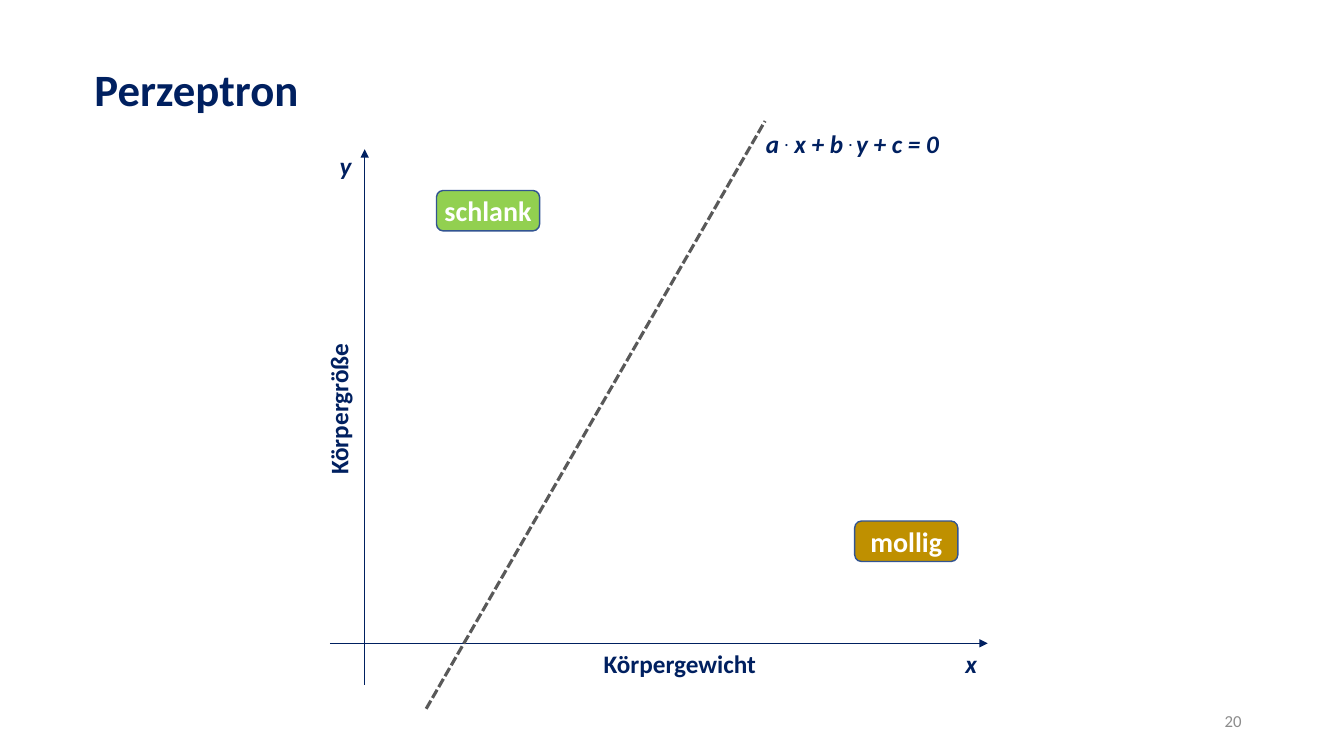
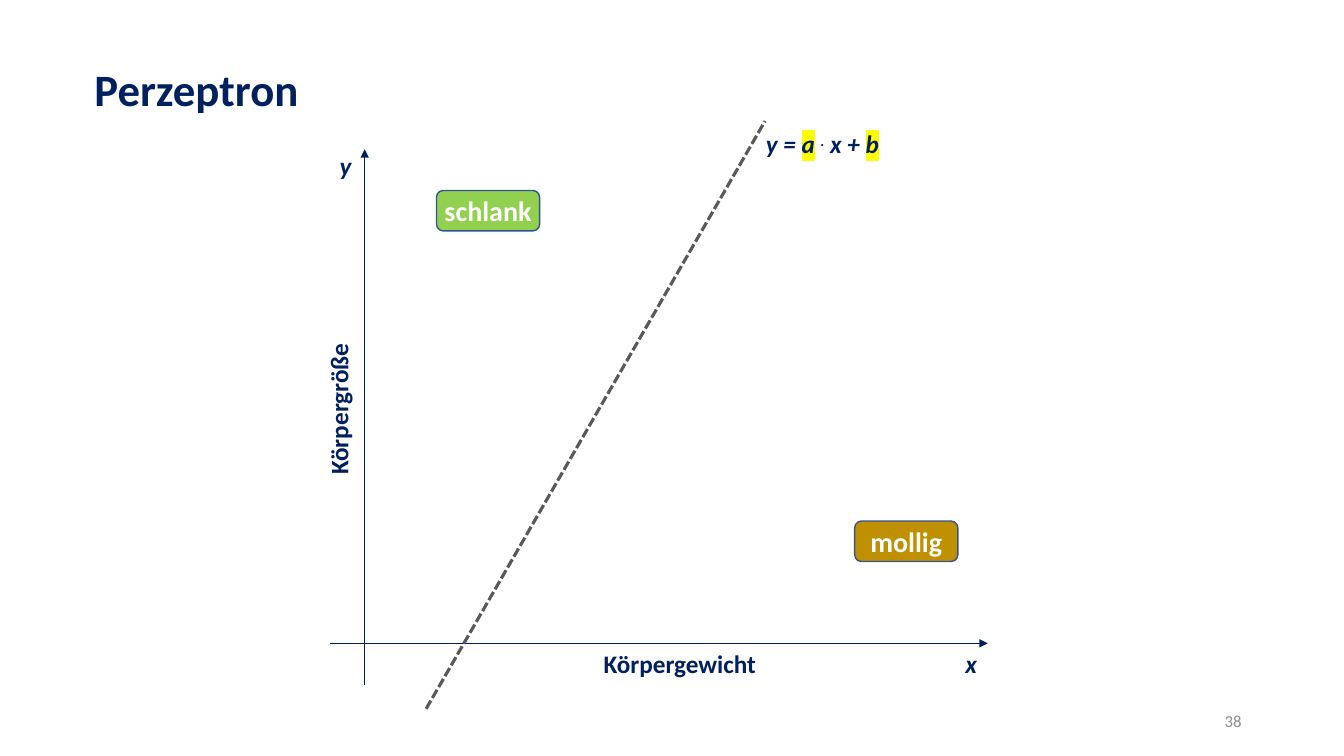
from lxml.etree import SubElement
from pptx import Presentation
from pptx.dml.color import RGBColor
from pptx.enum.dml import MSO_LINE as Dash
from pptx.enum.shapes import MSO_CONNECTOR as Link, MSO_SHAPE as Shape
from pptx.enum.text import MSO_ANCHOR as Anchor, PP_ALIGN as Align
from pptx.oxml import parse_xml
from pptx.oxml.ns import nsdecls, qn
from pptx.util import Cm, Pt

NAVY = RGBColor(0x00, 0x20, 0x60)
GRAY = RGBColor(0x8C, 0x8C, 0x8C)
DARK = RGBColor(0x59, 0x59, 0x59)
GREEN = RGBColor(0x92, 0xD0, 0x50)
OCHRE = RGBColor(0xBF, 0x90, 0x00)
EDGE = RGBColor(0x32, 0x54, 0x91)
WHITE = RGBColor(0xFF, 0xFF, 0xFF)
MARK = RGBColor(0xFF, 0xFF, 0x00)
FONT = "Calibri"
ROW = 1.02  # height of a label or badge in cm
PLOT = (8.31, 3.05)  # left and top of the plot in cm


def style(run, size, color=NAVY, bold=True, italic=False):
    font = run.font
    font.name, font.size = FONT, Pt(size)
    font.bold, font.italic = bold, italic
    font.color.rgb = color


def label(slide, box, text, size=18, align=Align.LEFT, **look):
    area = slide.shapes.add_textbox(*map(Cm, box))
    frame = area.text_frame
    frame.word_wrap = True
    para = frame.paragraphs[0]
    para.text, para.alignment = text, align
    for run in para.runs:
        style(run, size, **look)
    return area


def line(slide, start, end, color=NAVY, width=1):
    link = slide.shapes.add_connector(Link.STRAIGHT, *map(Cm, start + end))
    link.line.color.rgb, link.line.width = color, Pt(width)
    SubElement(link._element.spPr, qn("a:effectLst"))
    return link


def axis(slide, start, end):
    link = line(slide, start, end)
    tip = parse_xml(f'<a:tailEnd {nsdecls("a")} type="triangle"/>')
    link.line._get_or_add_ln().append(tip)


def badge(slide, left, top, text, fill):
    box = map(Cm, (left, top, 2.6, ROW))
    shape = slide.shapes.add_shape(Shape.ROUNDED_RECTANGLE, *box)
    shape.shadow.inherit = False
    shape.fill.solid()
    shape.fill.fore_color.rgb = fill
    shape.line.color.rgb, shape.line.width = EDGE, Pt(1)
    frame = shape.text_frame
    frame.margin_left = frame.margin_right = 0
    frame.margin_top = frame.margin_bottom = 0
    frame.vertical_anchor = Anchor.MIDDLE
    frame.text = text
    para = frame.paragraphs[0]
    para.alignment = Align.CENTER
    style(para.runs[0], 20, WHITE)


def formula(slide, box, parts):
    """Write (text, kind) parts; kind is "", "up" (raised) or "mark"."""
    para = label(slide, box, "").text_frame.paragraphs[0]
    for text, kind in parts:
        run = para.add_run()
        run.text = text
        style(run, 18, italic=True)
        props = run._r.get_or_add_rPr()
        if kind == "up":
            props.set("baseline", "30000")
        elif kind == "mark":
            glow = parse_xml(f'<a:highlight {nsdecls("a")}>'
                             f'<a:srgbClr val="{MARK}"/></a:highlight>')
            props.find(qn("a:solidFill")).addnext(glow)


def plot(slide, left, top, parts):
    """Draw the axes, both classes and the dividing line."""
    def at(x, y):
        return left + x, top + y

    badge(slide, *at(2.69, 1.75), "schlank", GREEN)
    badge(slide, *at(13.23, 10.08), "mollig", OCHRE)

    axis(slide, at(0.88, 14.2), at(0.88, 0.71))
    axis(slide, at(0, 13.16), at(16.58, 13.16))
    label(slide, (*at(6.65, 13.16), 4.62, ROW), "Körpergewicht")
    height = label(slide, (*at(-1.71, 6.75), 3.86, ROW), "Körpergröße",
                   align=Align.CENTER)
    height.text_frame.word_wrap = False
    height.rotation = 270
    for name, x, y in (("x", 15.77, 13.16), ("y", 0, 0.61)):
        label(slide, (*at(x, y), 0.82, ROW), name, italic=True)

    split = line(slide, at(2.43, 14.81), at(10.97, 0), DARK, 2.25)
    split.line.dash_style = Dash.SQUARE_DOT
    formula(slide, (*at(10.74, 0.07), 6.91, ROW), parts)


def page(deck, number, parts):
    slide = deck.slides.add_slide(deck.slide_layouts[6])
    foot = label(slide, (23.92, 17.65, 7.62, ROW), str(number), 12,
                 Align.RIGHT, color=GRAY, bold=False)
    foot.text_frame.vertical_anchor = Anchor.MIDDLE
    label(slide, (2.13, 1.42, 10.5, 1.63), "Perzeptron", 32)
    plot(slide, *PLOT, parts)


def main():
    deck = Presentation()
    deck.slide_width, deck.slide_height = Cm(33.87), Cm(19.05)
    page(deck, 20, [("a ", ""), (".", "up"), (" x + b ", ""),
                    (". ", "up"), ("y + c = 0", "")])
    page(deck, 38, [("y = ", ""), ("a", "mark"), (" ", ""), (".", "up"),
                    (" x + ", ""), ("b", "mark")])
    deck.save("out.pptx")


if __name__ == "__main__":
    main()
